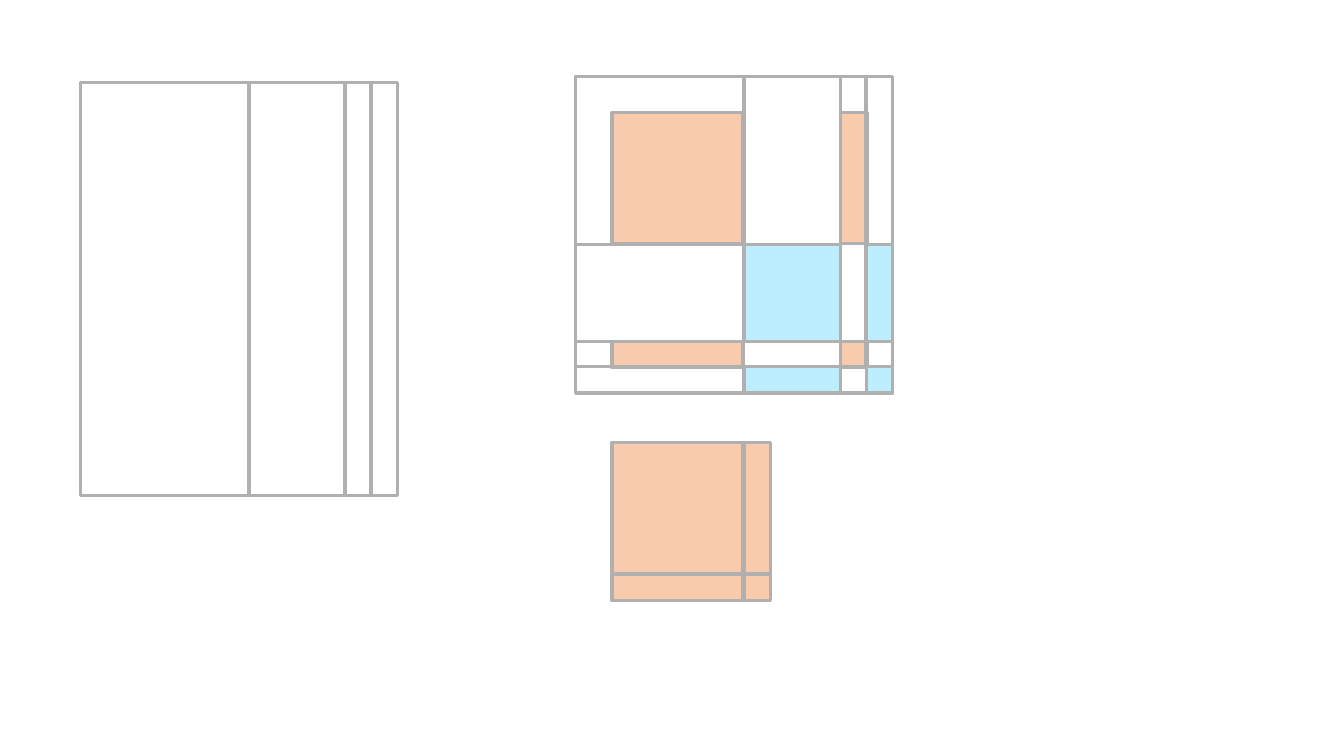
from itertools import product

from pptx import Presentation
from pptx.dml.color import RGBColor
from pptx.enum import shapes
from pptx.util import Inches, Pt

GREY = RGBColor(0xB0, 0xB0, 0xB0)
ORANGE = RGBColor(0xF8, 0xCB, 0xAD)
BLUE = RGBColor(0xBD, 0xEE, 0xFF)

COLUMNS = [(0, 1.67), (1.67, 0.96), (2.62, 0.26), (2.88, 0.26)]
ORANGE_SPANS = [(0.36, 1.3), (2.63, 0.26)]
BLUE_SPANS = [(1.67, 0.96), (2.88, 0.26)]
REDUCED_SPANS = [(0, 1.3), (1.31, 0.26)]
FRAME_SIZES = [1.67, 2.63, 2.88, 3.14]


def add_rect(slide, left, top, width, height, color=None):
    """Add a grey-outlined rectangle, filled when a colour is given."""
    sp = slide.shapes.add_shape(
        shapes.MSO_SHAPE.RECTANGLE, *map(Inches, (left, top, width, height)))
    sp.shadow.inherit = False
    if color is None:
        sp.fill.background()
    else:
        sp.fill.solid()
        sp.fill.fore_color.rgb = color
    sp.line.color.rgb = GREY
    sp.line.width = Pt(2.25)


def add_blocks(slide, left, top, spans, color):
    """Fill every crossing of the spans, taken as both rows and columns."""
    for (y, height), (x, width) in product(spans, repeat=2):
        add_rect(slide, left + x, top + y, width, height, color)


def add_data_matrix(slide, left, top, height):
    """Draw the tall matrix split into column groups."""
    for x, width in COLUMNS:
        add_rect(slide, left + x, top, width, height)


def add_square_matrix(slide, left, top):
    """Draw the square matrix with its coloured blocks and nested frames."""
    add_blocks(slide, left, top, ORANGE_SPANS, ORANGE)
    add_blocks(slide, left, top, BLUE_SPANS, BLUE)
    for size in FRAME_SIZES:
        add_rect(slide, left, top, size, size)


def add_reduced_matrix(slide, left, top):
    """Draw the small matrix gathered from the orange blocks."""
    add_blocks(slide, left, top, REDUCED_SPANS, ORANGE)


def main():
    """Build the slide and save it."""
    prs = Presentation()
    prs.slide_width, prs.slide_height = Inches(13.33), Inches(7.5)
    slide = prs.slides.add_slide(prs.slide_layouts[6])
    add_data_matrix(slide, 0.8, 0.82, 4.1)
    add_square_matrix(slide, 5.71, 0.76)
    add_reduced_matrix(slide, 6.07, 4.39)
    prs.save("out.pptx")


if __name__ == "__main__":
    main()
